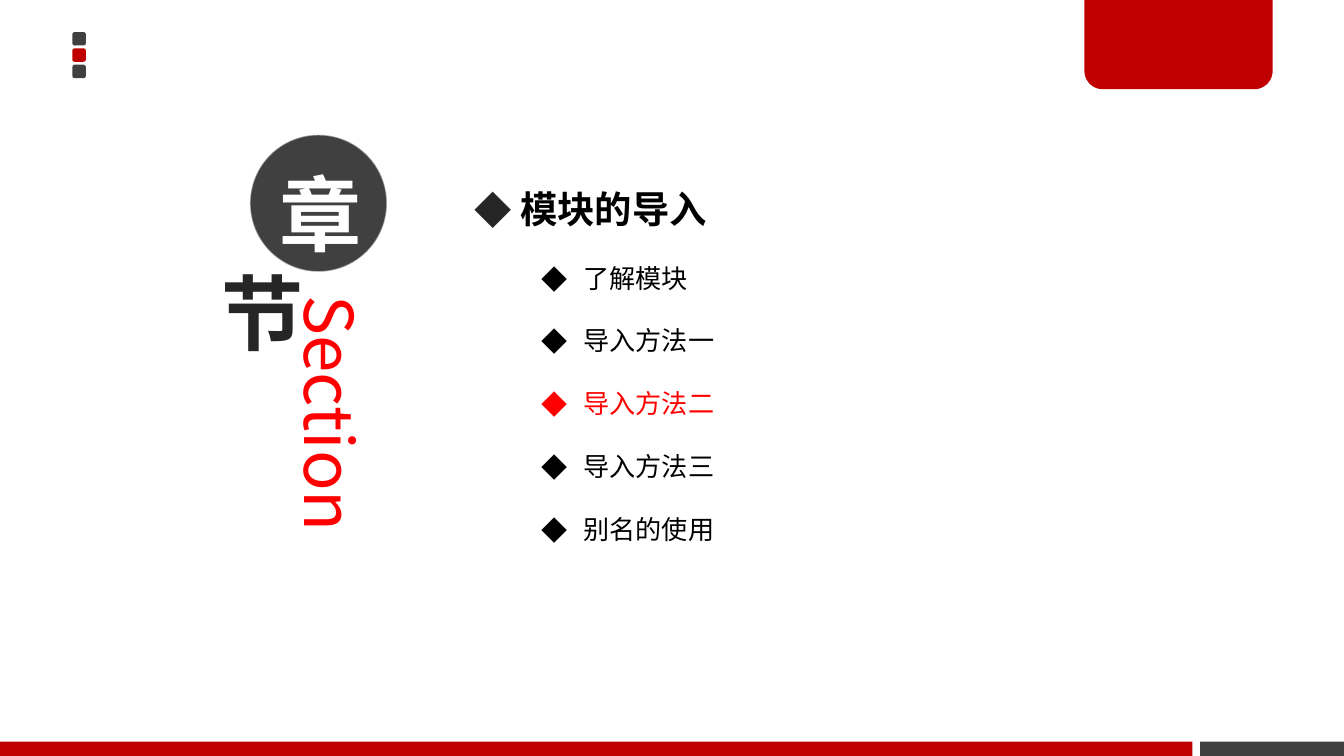
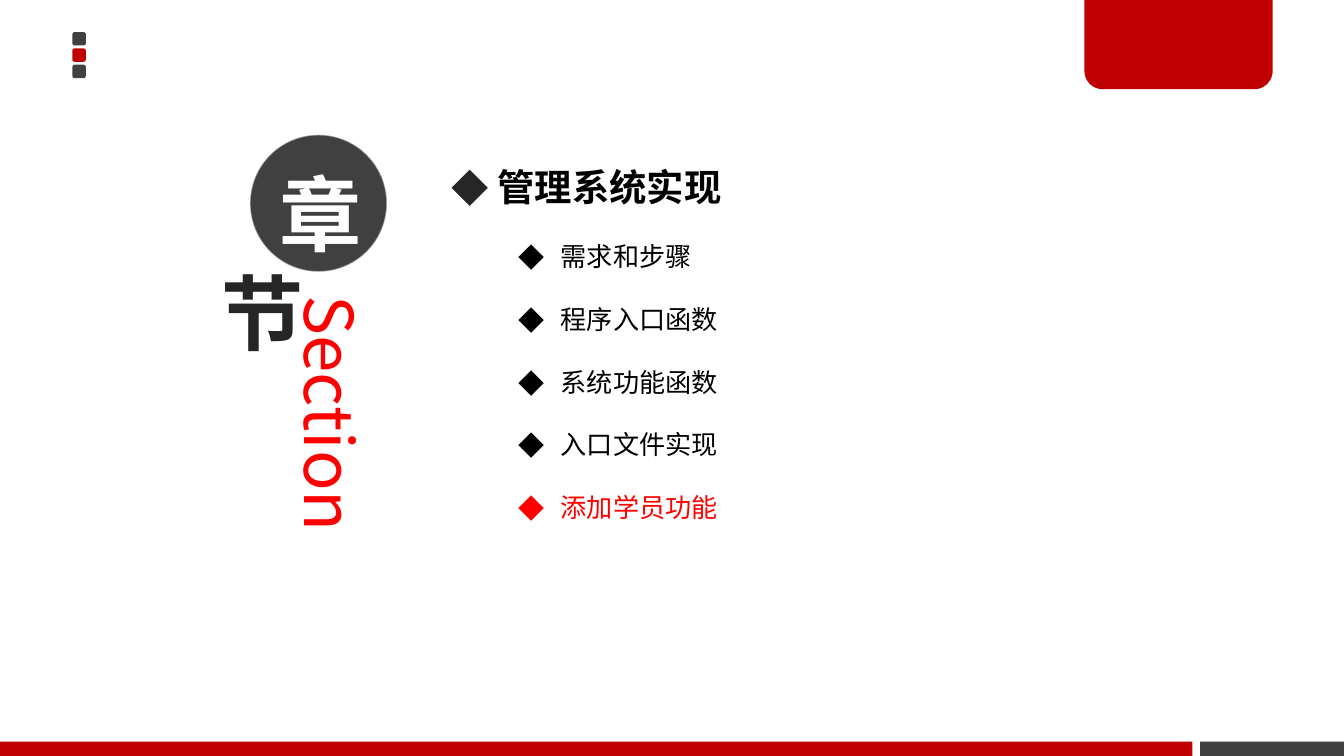
from dataclasses import dataclass
from math import cos, radians, sin

from lxml.etree import SubElement
from pptx import Presentation
from pptx.dml.color import RGBColor
from pptx.enum.shapes import MSO_SHAPE
from pptx.enum.text import MSO_ANCHOR, MSO_AUTO_SIZE, PP_ALIGN
from pptx.oxml.ns import qn
from pptx.util import Pt

SECTIONS = [
    {
        "heading": "模块的导入",
        "topics": ["了解模块", "导入方法一", "导入方法二", "导入方法三", "别名的使用"],
        "current": "导入方法二",
        "outline": (247, 72, 340, 225.4),
    },
    {
        "heading": "管理系统实现",
        "topics": ["需求和步骤", "程序入口函数", "系统功能函数", "入口文件实现", "添加学员功能"],
        "current": "添加学员功能",
        "outline": (234.8, 60.5, 206, 225.4),
    },
]


@dataclass(frozen=True)
class Theme:
    font: str = "Noto Sans CJK SC"
    red: str = "C00000"
    accent: str = "FF0000"
    grey: str = "404040"
    ink: str = "262626"
    black: str = "000000"
    white: str = "FFFFFF"
    character: int = 44
    label: int = 36
    heading: int = 20
    topic: int = 14


THEME = Theme()
WIDTH, HEIGHT = 720, 405
SQUARE, SQUARE_STEP = 7.2, 8.75
FOOTER_TOP = 397.4
SIDE_INSET, END_INSET = 5.04, 3.6


def set_all(target, values):
    for name, value in values.items():
        setattr(target, name, value)


def color(value):
    return RGBColor.from_string(value)


def paint(shape, fill):
    shape.shadow.inherit = False
    shape.line.fill.background()
    if fill:
        shape.fill.solid()
        shape.fill.fore_color.rgb = color(fill)
    else:
        shape.fill.background()
    return shape


def add_shape(shapes, kind, bounds, fill=None):
    return paint(shapes.add_shape(kind, *map(Pt, bounds)), fill)


def add_span(para, text, size, ink, bold=False):
    span = para.add_run()
    span.text = text
    set_all(span.font, {"name": THEME.font, "size": Pt(size), "bold": bold})
    span.font.color.rgb = color(ink)
    SubElement(span.font._element, qn("a:ea"), typeface=THEME.font)
    return span


def set_insets(frame, bottom=END_INSET):
    set_all(frame, {
        "margin_left": Pt(SIDE_INSET), "margin_right": Pt(SIDE_INSET),
        "margin_top": Pt(END_INSET), "margin_bottom": Pt(bottom),
    })


def add_tab(page):
    left, right, top, bottom, radius = 581, 681.8, -1.4, 47.8, 9.8
    corners = [(right - radius, 0), (left + radius, 90)]
    points = [
        (center + radius * cos(radians(start + step)),
         bottom - radius + radius * sin(radians(start + step)))
        for center, start in corners
        for step in range(0, 91, 6)
    ]
    outline = page.shapes.build_freeform(Pt(right), Pt(top))
    outline.add_line_segments([(Pt(x), Pt(y)) for x, y in points + [(left, top)]])
    paint(outline.convert_to_shape(), THEME.red)


def add_frame(page):
    squares = page.shapes.add_group_shape()
    for index, fill in enumerate((THEME.grey, THEME.red, THEME.grey)):
        bounds = (38.8, 17.2 + index * SQUARE_STEP, SQUARE, SQUARE)
        add_shape(squares.shapes, MSO_SHAPE.ROUNDED_RECTANGLE, bounds, fill)
    add_tab(page)
    for left, right, fill in ((643, WIDTH, THEME.grey), (0, 638.8, THEME.red)):
        bounds = (left, FOOTER_TOP, right - left, HEIGHT - FOOTER_TOP)
        add_shape(page.shapes, MSO_SHAPE.RECTANGLE, bounds, fill)


def add_character(page, text, bounds, ink, fill=None, bottom=END_INSET, spacing=None):
    circle = add_shape(page.shapes, MSO_SHAPE.OVAL, bounds, fill)
    frame = circle.text_frame
    set_insets(frame, bottom)
    set_all(frame, {"vertical_anchor": MSO_ANCHOR.MIDDLE, "word_wrap": True})
    para = frame.paragraphs[0]
    set_all(para, {"alignment": PP_ALIGN.CENTER, "line_spacing": spacing})
    return circle, add_span(para, text, THEME.character, ink, True)


def add_badge(page):
    label = page.shapes.add_textbox(*map(Pt, (154, 151.2, 50.4, 208)))
    set_insets(label.text_frame)
    label.text_frame.word_wrap = True
    label.text_frame._txBody.bodyPr.set("vert", "vert")
    add_span(label.text_frame.paragraphs[0], "Section", THEME.label, THEME.accent)

    circle, _ = add_character(page, "章", (133.9, 72.2, 73.4, 73.4), THEME.white,
                              THEME.grey, 10.8, Pt(70))
    circle.line.color.rgb = color(THEME.white)
    circle.line.width = Pt(0)
    tint = circle.line._ln.find(".//" + qn("a:srgbClr"))
    SubElement(tint, qn("a:alpha"), val="49000")

    _, span = add_character(page, "节", (105.1, 138.2, 57.6, 57.6), THEME.ink)
    properties = span.font._element
    edge = SubElement(properties, qn("a:ln"), w=str(Pt(0.25)))
    fill = SubElement(edge, qn("a:solidFill"))
    SubElement(fill, qn("a:srgbClr"), val=THEME.white)
    properties.insert(0, edge)


def set_bullet(para, ink, margin, hang):
    properties = para._p.get_or_add_pPr()
    properties.set("marL", str(Pt(margin)))
    properties.set("indent", str(-Pt(hang)))
    tint = SubElement(properties, qn("a:buClr"))
    SubElement(tint, qn("a:srgbClr"), val=ink)
    SubElement(properties, qn("a:buFont"), typeface=THEME.font)
    SubElement(properties, qn("a:buChar"), char="◆")


def add_outline(page, section):
    box = page.shapes.add_textbox(*map(Pt, section["outline"]))
    frame = box.text_frame
    set_all(frame, {"word_wrap": True, "auto_size": MSO_AUTO_SIZE.SHAPE_TO_FIT_TEXT})
    heading = frame.paragraphs[0]
    heading.line_spacing = 2.0
    set_bullet(heading, THEME.ink, 13.5, 13.5)
    add_span(heading, " " + section["heading"], THEME.heading, THEME.black, True)
    for topic in section["topics"]:
        ink = THEME.accent if topic == section["current"] else THEME.black
        para = frame.add_paragraph()
        set_all(para, {"level": 1, "line_spacing": 2.0})
        set_bullet(para, ink, 58.5, 22.5)
        add_span(para, topic, THEME.topic, ink)


def main():
    deck = Presentation()
    set_all(deck, {"slide_width": Pt(WIDTH), "slide_height": Pt(HEIGHT)})
    for section in SECTIONS:
        page = deck.slides.add_slide(deck.slide_layouts[6])
        add_frame(page)
        add_badge(page)
        add_outline(page, section)
    deck.save("out.pptx")


if __name__ == "__main__":
    main()
